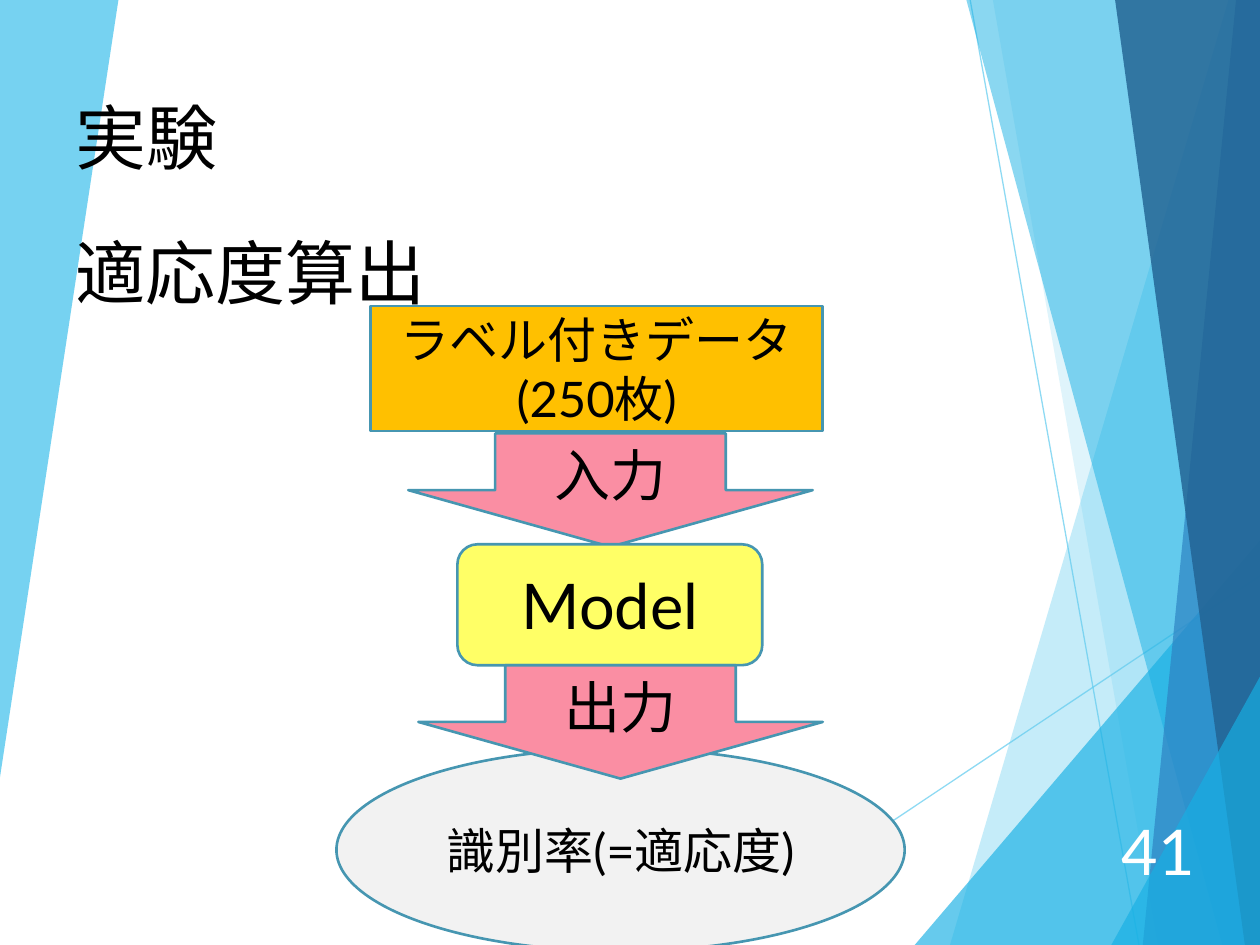
from dataclasses import dataclass

import pptx
import pptx.util
import pptx.dml.color
import pptx.enum.shapes
import pptx.enum.text
import pptx.oxml
import pptx.oxml.ns
import pptx.shapes.base
import pptx.slide
import pptx.text.text

UNIT = 9144  # EMU in one px, at 100 px to the inch
FORM = pptx.enum.shapes.MSO_SHAPE
ALIGN = pptx.enum.text.PP_ALIGN
ANCHOR = pptx.enum.text.MSO_ANCHOR


@dataclass(frozen=True)
class Theme:
    font: str = "Lato"
    ink: str = "000000"
    white: str = "FFFFFF"
    edge: str = "4696B1"
    gold: str = "FFC000"
    pink: str = "FA8EA3"
    lemon: str = "FFFF66"
    pale: str = "F2F2F2"
    sky: str = "5FCBEF"
    cyan: str = "17B0E4"
    blue: str = "2E83C3"
    navy: str = "226292"
    title: float = 40.5
    head: float = 40
    large: float = 36
    mid: float = 32
    small: float = 28


@dataclass(frozen=True)
class Box:
    left: int
    top: int
    width: int
    height: int

    def emu(self) -> list[int]:
        return [n * UNIT for n in (self.left, self.top, self.width, self.height)]


@dataclass(frozen=True)
class Facet:
    points: list[tuple[int, int]]
    color: str
    alpha: int


@dataclass(frozen=True)
class Step:
    form: FORM
    box: Box
    fill: str
    text: str
    size: float


LOOK = Theme()

RAYS = [(561, 750, 1000, 457), (770, 0, 904, 750)]

FACETS = [
    Facet([(975, 0), (754, 750), (1000, 750), (1000, 0)], LOOK.sky, 36),
    Facet([(788, 0), (919, 750), (1000, 750), (1000, 0)], LOOK.sky, 20),
    Facet([(726, 750), (1000, 429), (1000, 750)], LOOK.cyan, 66),
    Facet([(767, 0), (970, 750), (1000, 750), (1000, 0)], LOOK.cyan, 50),
    Facet([(981, 0), (907, 750), (1000, 750), (1000, 0)], LOOK.blue, 70),
    Facet([(885, 0), (988, 750), (1000, 750), (1000, 0)], LOOK.navy, 82),
    Facet([(882, 750), (1000, 537), (1000, 750)], LOOK.cyan, 66),
    Facet([(0, 0), (94, 0), (0, 617)], LOOK.sky, 85),
]

STEPS = [
    Step(FORM.RECTANGLE, Box(294, 243, 359, 99), LOOK.gold,
         "ラベル付きデータ(250枚)", LOOK.small),
    Step(FORM.OVAL, Box(267, 594, 451, 161), LOOK.pale,
         "識別率(=適応度)", LOOK.small),
    Step(FORM.DOWN_ARROW, Box(324, 344, 321, 90), LOOK.pink, "入力", LOOK.mid),
    Step(FORM.ROUNDED_RECTANGLE, Box(363, 432, 242, 96), LOOK.lemon,
         "Model", LOOK.large),
    Step(FORM.DOWN_ARROW, Box(332, 528, 321, 90), LOOK.pink, "出力", LOOK.mid),
]


def rgb(code: str) -> pptx.dml.color.RGBColor:
    return pptx.dml.color.RGBColor.from_string(code)


def fade(shape: pptx.shapes.base.BaseShape, alpha: int) -> None:
    """Make the shape's plain colour partly see-through."""
    tag = pptx.oxml.ns.qn("a:srgbClr")
    for color in shape.element.spPr.iter(tag):
        node = pptx.oxml.parse_xml(
            f'<a:alpha {pptx.oxml.ns.nsdecls("a")} val="{alpha * 1000}"/>')
        color.append(node)


def write(frame: pptx.text.text.TextFrame, text: str, size: float,
          align: ALIGN = ALIGN.LEFT, anchor: ANCHOR = ANCHOR.TOP,
          color: str = LOOK.ink) -> None:
    frame.word_wrap = True
    frame.auto_size = pptx.enum.text.MSO_AUTO_SIZE.NONE
    frame.vertical_anchor = anchor
    para = frame.paragraphs[0]
    para.alignment = align
    run = para.add_run()
    run.text = text
    run.font.name = LOOK.font
    run.font.size = pptx.util.Pt(size)
    run.font.color.rgb = rgb(color)


def add_ray(slide: pptx.slide.Slide, ends: tuple[int, int, int, int]) -> None:
    ray = slide.shapes.add_connector(
        pptx.enum.shapes.MSO_CONNECTOR.STRAIGHT, *[n * UNIT for n in ends])
    ray.line.color.rgb = rgb(LOOK.sky)
    ray.line.width = pptx.util.Pt(0.75)
    fade(ray, 70)
    ray.element.spPr.append(pptx.oxml.parse_xml(
        f'<a:effectLst {pptx.oxml.ns.nsdecls("a")}/>'))


def add_facet(slide: pptx.slide.Slide, facet: Facet) -> None:
    start, *rest = facet.points
    pen = slide.shapes.build_freeform(*start, scale=UNIT)
    pen.add_line_segments(rest, close=True)
    shape = pen.convert_to_shape()
    shape.shadow.inherit = False
    shape.fill.solid()
    shape.fill.fore_color.rgb = rgb(facet.color)
    shape.line.fill.background()
    fade(shape, facet.alpha)


def add_step(slide: pptx.slide.Slide, step: Step) -> None:
    shape = slide.shapes.add_shape(step.form, *step.box.emu())
    shape.shadow.inherit = False
    shape.fill.solid()
    shape.fill.fore_color.rgb = rgb(step.fill)
    shape.line.color.rgb = rgb(LOOK.edge)
    shape.line.width = pptx.util.Pt(1.5)
    if step.form == FORM.DOWN_ARROW:
        shape.adjustments[0] = 0.57
        shape.adjustments[1] = 0.5
    write(shape.text_frame, step.text, step.size, ALIGN.CENTER, ANCHOR.MIDDLE)


def add_title(slide: pptx.slide.Slide, box: Box, text: str) -> None:
    title = slide.shapes.title
    title.left, title.top, title.width, title.height = box.emu()
    write(title.text_frame, text, LOOK.title)
    # Bring the title in front of the facets
    title.element.getparent().append(title.element)


def main() -> None:
    deck = pptx.Presentation()
    deck.slide_width, deck.slide_height = 1000 * UNIT, 750 * UNIT
    slide = deck.slides.add_slide(deck.slide_layouts.get_by_name("Title Only"))

    # Backdrop
    for ray in RAYS:
        add_ray(slide, ray)
    for facet in FACETS:
        add_facet(slide, facet)

    # Page number and headings
    page = slide.shapes.add_textbox(*Box(874, 648, 84, 53).emu())
    write(page.text_frame, "41", LOOK.large, ALIGN.RIGHT, ANCHOR.MIDDLE, LOOK.white)
    add_title(slide, Box(50, 69, 711, 78), "実験")
    head = slide.shapes.add_textbox(*Box(50, 177, 771, 77).emu())
    write(head.text_frame, "適応度算出", LOOK.head)

    # Flow from data to fitness
    for step in STEPS:
        add_step(slide, step)

    deck.save("out.pptx")


if __name__ == "__main__":
    main()
